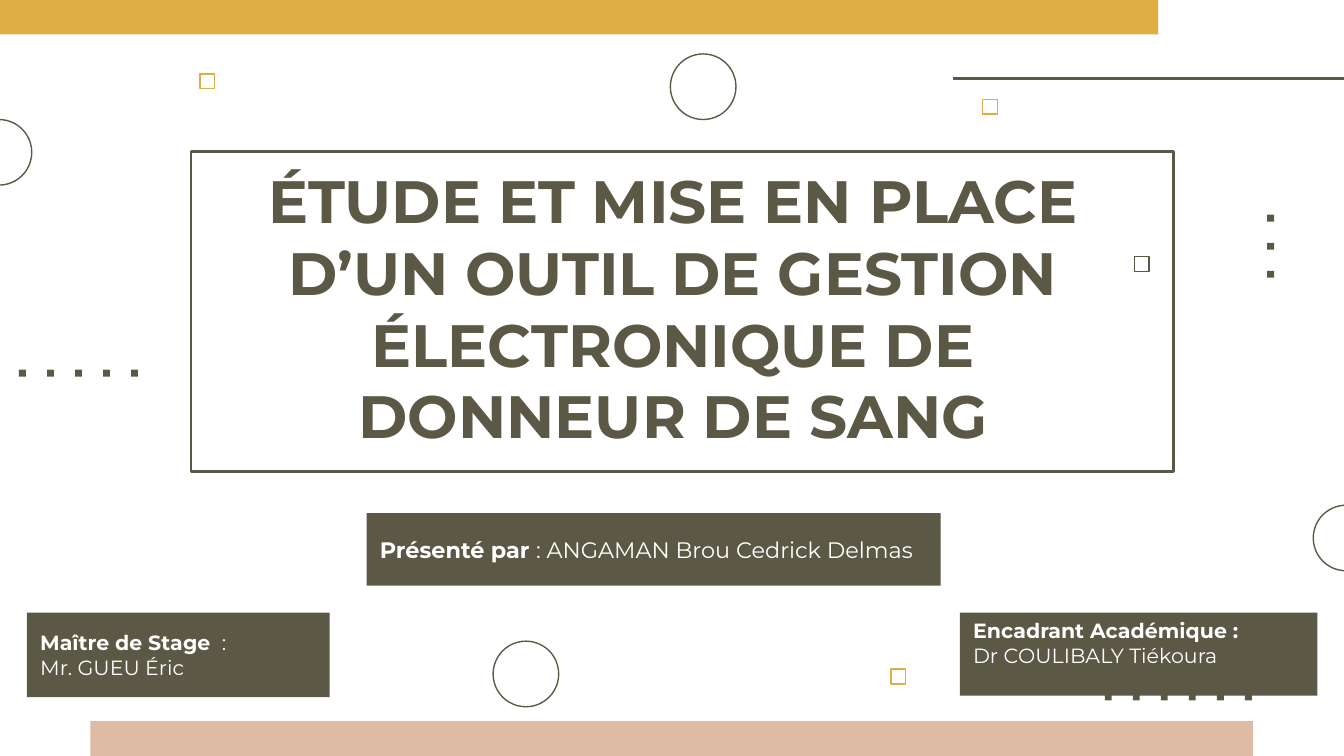
import pptx
import pptx.util
import pptx.dml.color
import pptx.enum.shapes
import pptx.enum.text
import pptx.oxml.ns
import lxml.etree

Cm = pptx.util.Cm
Pt = pptx.util.Pt
RGBColor = pptx.dml.color.RGBColor
RECT = pptx.enum.shapes.MSO_SHAPE.RECTANGLE
OVAL = pptx.enum.shapes.MSO_SHAPE.OVAL
ANCHOR = pptx.enum.text.MSO_ANCHOR
ALIGN = pptx.enum.text.PP_ALIGN

OLIVE = RGBColor(0x5B, 0x59, 0x46)
GOLD = RGBColor(0xE0, 0xAC, 0x44)
BLUSH = RGBColor(0xDD, 0xBC, 0xA3)
WHITE = RGBColor(0xFF, 0xFF, 0xFF)

deck = pptx.Presentation()
deck.slide_width = Cm(25.4)
deck.slide_height = Cm(14.29)
cover = deck.slides.add_slide(deck.slide_layouts[6])


def add_figure(kind, left, top, width, height, fill=None, line=None, weight=0.75):
    figure = cover.shapes.add_shape(kind, Cm(left), Cm(top), Cm(width), Cm(height))
    figure.shadow.inherit = False
    if fill is None:
        figure.fill.background()
    else:
        figure.fill.solid()
        figure.fill.fore_color.rgb = fill
    if line is None:
        figure.line.fill.background()
    else:
        figure.line.color.rgb = line
        figure.line.width = Pt(weight)
    return figure


def write_text(figure, paragraphs, size, color, align, anchor, top_inset=0.25):
    frame = figure.text_frame
    frame.word_wrap = True
    frame.vertical_anchor = anchor
    frame.margin_left = frame.margin_right = frame.margin_bottom = Cm(0.25)
    frame.margin_top = Cm(top_inset)
    for index, runs in enumerate(paragraphs):
        paragraph = frame.add_paragraph() if index else frame.paragraphs[0]
        paragraph.alignment = align
        for words, bold in runs:
            run = paragraph.add_run()
            run.text = words
            run.font.name = "Montserrat"
            run.font.size = Pt(size)
            run.font.bold = bold
            run.font.color.rgb = color


add_figure(RECT, -0.08, 0, 21.97, 0.65, fill=GOLD)
add_figure(RECT, 1.71, 13.63, 21.97, 0.66, fill=BLUSH)

top_rule = cover.shapes.add_connector(
    pptx.enum.shapes.MSO_CONNECTOR.STRAIGHT, Cm(18.01), Cm(1.48), Cm(25.76), Cm(1.48))
top_rule.line.color.rgb = OLIVE
top_rule.line.width = Pt(1.5)
lxml.etree.SubElement(top_rule.element.spPr, pptx.oxml.ns.qn("a:effectLst"))

for left, top in [(-0.64, 2.26), (9.32, 12.12), (12.67, 1.02), (24.82, 9.55)]:
    add_figure(OVAL, left, top, 1.24, 1.24, line=OLIVE)

for left, top, color in [(3.78, 1.4, GOLD), (16.84, 12.65, GOLD),
                         (21.44, 4.85, OLIVE), (18.57, 1.88, GOLD)]:
    add_figure(RECT, left, top, 0.28, 0.28, line=color)

for left, top, count, step_x, step_y in [(20.88, 13.11, 6, 0.53, 0),
                                         (23.95, 4.06, 3, 0, 0.53),
                                         (0.36, 6.99, 5, 0.53, 0)]:
    for dot in range(count):
        add_figure(RECT, left + dot * step_x, top + dot * step_y, 0.13, 0.13, fill=OLIVE)

add_figure(RECT, 3.61, 2.87, 18.57, 6.05, line=OLIVE, weight=1.5)
title = cover.shapes.add_textbox(Cm(4.04), Cm(3.84), Cm(17.37), Cm(4.93))
write_text(
    title,
    [[("ÉTUDE ET MISE EN PLACE D’UN OUTIL DE GESTION ÉLECTRONIQUE DE DONNEUR DE SANG", True)]],
    32, OLIVE, ALIGN.CENTER, ANCHOR.BOTTOM)

presenter = add_figure(RECT, 6.93, 9.7, 10.85, 1.37, fill=OLIVE)
write_text(
    presenter,
    [[("Présenté par ", True), (": ANGAMAN Brou Cedrick Delmas", False)]],
    12, WHITE, ALIGN.LEFT, ANCHOR.MIDDLE)

supervisor = add_figure(RECT, 18.14, 11.58, 6.76, 1.57, fill=OLIVE)
write_text(
    supervisor,
    [[("Encadrant Académique :", True)], [("Dr COULIBALY Tiékoura", False)]],
    11, WHITE, ALIGN.LEFT, ANCHOR.TOP, top_inset=0.1)

mentor = add_figure(RECT, 0.51, 11.58, 5.72, 1.6, fill=OLIVE)
write_text(
    mentor,
    [[("Maître de Stage ", True), (" :", False)], [("Mr. GUEU Éric", False)]],
    11, WHITE, ALIGN.LEFT, ANCHOR.MIDDLE)

deck.save("out.pptx")
